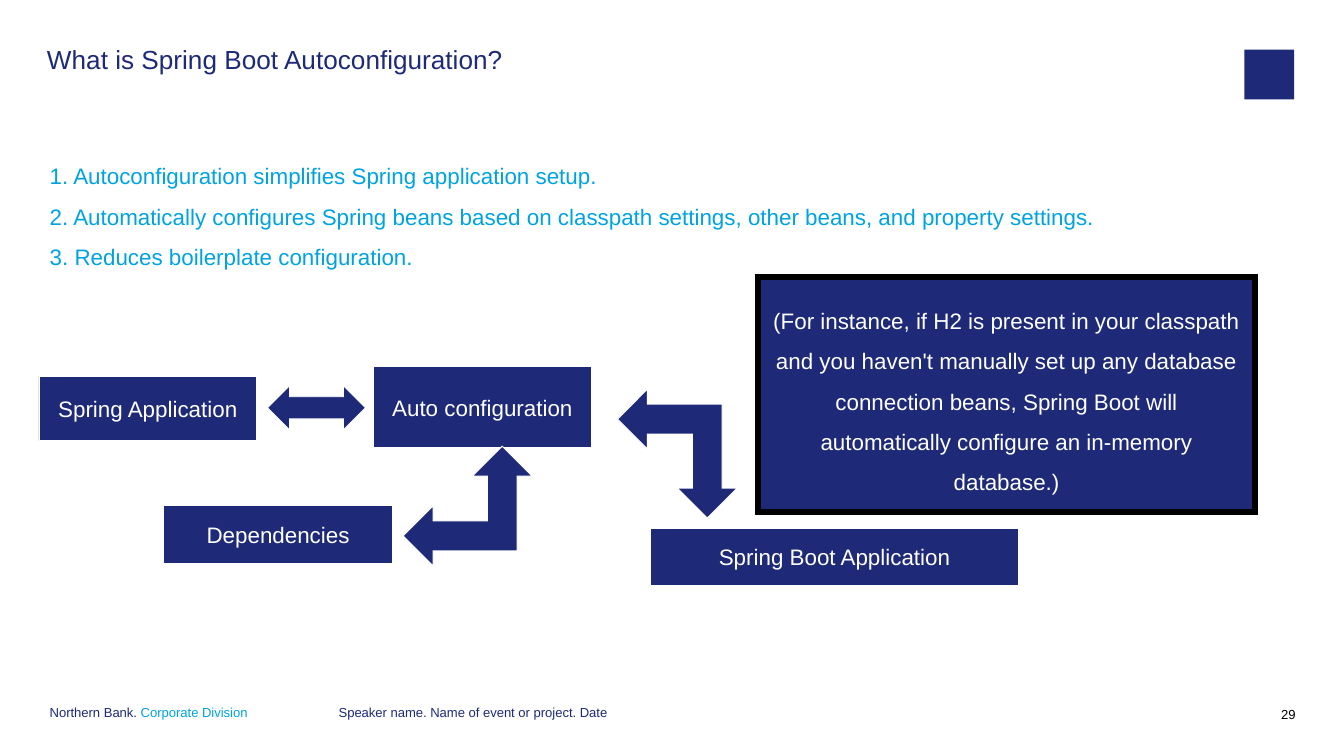
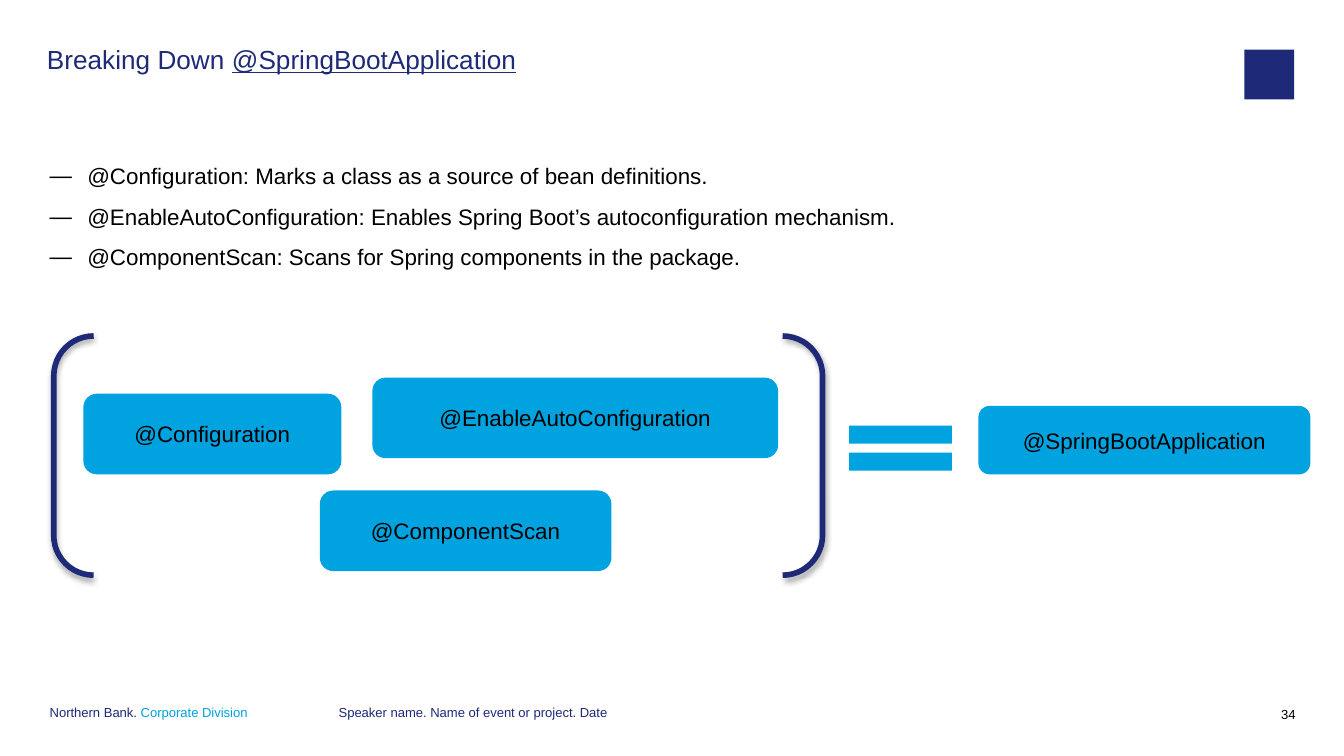
from dataclasses import dataclass

from lxml import etree
from pptx import Presentation
from pptx.dml.color import RGBColor
from pptx.enum import shapes, text
from pptx.oxml import ns
from pptx.util import Inches, Pt

SHAPE, ALIGN, ANCHOR = shapes.MSO_SHAPE, text.PP_ALIGN, text.MSO_ANCHOR


@dataclass(frozen=True)
class Theme:
    font: str = "Arial"
    navy: str = "1E2A78"
    cyan: str = "00A3E0"
    black: str = "000000"
    white: str = "FFFFFF"
    title: float = 14
    body: float = 12
    footer: float = 7
    thin: float = 0.5
    thick: float = 3


T = Theme()

# Shared content
DIVISION = [("Northern Bank. ", T.navy), ("Corporate Division", T.cyan)]
EVENT = "Speaker name. Name of event or project. Date"

# Slide 1: autoconfiguration
AUTO_TITLE = ["What is Spring Boot Autoconfiguration?"]
AUTO_POINTS = [
    "1. Autoconfiguration simplifies Spring application setup.",
    "2. Automatically configures Spring beans based on classpath settings, "
    "other beans, and property settings.",
    "3. Reduces boilerplate configuration.",
]
H2_EXAMPLE = (
    "(For instance, if H2 is present in your classpath and you haven't manually "
    "set up any database connection beans, Spring Boot will automatically "
    "configure an in-memory database.)"
)
FLOW_BOXES = [
    ("Dependencies", (1.22, 3.76, 1.7, 0.43)),
    ("Spring Application", (0.29, 2.8, 1.62, 0.48)),
    ("Auto configuration", (2.78, 2.73, 1.62, 0.6)),
    ("Spring Boot Application", (4.84, 3.93, 2.74, 0.43)),
]
FLOW_ARROWS = [
    (SHAPE.LEFT_UP_ARROW, (3, 3.32, 0.96, 0.89), 0),
    (SHAPE.LEFT_RIGHT_ARROW, (1.99, 2.87, 0.73, 0.33), 0),
    (SHAPE.LEFT_UP_ARROW, (4.56, 2.93, 0.96, 0.89), 270),
]

# Slide 2: the composed annotation
BREAKDOWN_TITLE = ["Breaking Down ", "@SpringBootApplication"]
BREAKDOWN_POINTS = [
    "@Configuration: Marks a class as a source of bean definitions.",
    "@EnableAutoConfiguration: Enables Spring Boot’s autoconfiguration mechanism.",
    "@ComponentScan: Scans for Spring components in the package.",
]
ANNOTATIONS = [
    ("@Configuration", (0.62, 2.93, 1.92, 0.6)),
    ("@EnableAutoConfiguration", (2.77, 2.81, 3.02, 0.6)),
    ("@ComponentScan", (2.38, 3.65, 2.17, 0.6)),
    ("@SpringBootApplication", (7.28, 3.02, 2.47, 0.51)),
]


def place(at):
    return [Inches(length) for length in at]


def style(run, size, color):
    run.font.name = T.font
    run.font.size = Pt(size)
    run.font.color.rgb = RGBColor.from_string(color)


def add_text(slide, at, paragraphs, size, spacing, align=ALIGN.LEFT):
    """Each paragraph is a list of (wording, colour) runs."""
    frame = slide.shapes.add_textbox(*place(at)).text_frame
    frame.word_wrap = True
    frame.margin_left = frame.margin_right = frame.margin_top = frame.margin_bottom = 0
    for i, runs in enumerate(paragraphs):
        paragraph = frame.add_paragraph() if i else frame.paragraphs[0]
        paragraph.alignment = align
        paragraph.line_spacing = spacing
        for wording, color in runs:
            run = paragraph.add_run()
            run.text = wording
            style(run, size, color)
    return frame


def add_part(slide, kind, at, fill=None, line=None, width=T.thin):
    part = slide.shapes.add_shape(kind, *place(at))
    part.shadow.inherit = False
    if fill:
        part.fill.solid()
        part.fill.fore_color.rgb = RGBColor.from_string(fill)
    else:
        part.fill.background()
    if line:
        part.line.color.rgb = RGBColor.from_string(line)
        part.line.width = Pt(width)
        outline = part._element.spPr.find(ns.qn("a:ln"))
        etree.SubElement(outline, ns.qn("a:miter"), lim="800000")
    else:
        part.line.fill.background()
    return part


def add_label(part, wording, color, spacing=1.0):
    frame = part.text_frame
    frame.text = wording
    frame.word_wrap = True
    frame.vertical_anchor = ANCHOR.MIDDLE
    frame.margin_left = frame.margin_right = Inches(0.11)
    frame.margin_top = frame.margin_bottom = Inches(0.06)
    paragraph = frame.paragraphs[0]
    paragraph.alignment = ALIGN.CENTER
    paragraph.line_spacing = spacing
    style(paragraph.runs[0], T.body, color)


def add_dash(paragraph, indent=0.28):
    props = paragraph._p.get_or_add_pPr()
    props.set("marL", str(Inches(indent)))
    props.set("indent", str(-Inches(indent)))
    etree.SubElement(props, ns.qn("a:buFont"), typeface=T.font)
    etree.SubElement(props, ns.qn("a:buChar"), char="—")


def add_soft_shadow(part):
    effects = part._element.spPr.find(ns.qn("a:effectLst"))
    shadow = etree.SubElement(effects, ns.qn("a:outerShdw"), blurRad=str(Pt(3.1)),
                              dist=str(Pt(1.8)), dir="5400000", rotWithShape="0")
    color = etree.SubElement(shadow, ns.qn("a:srgbClr"), val=T.black)
    etree.SubElement(color, ns.qn("a:alpha"), val="35000")


def add_base(deck, title, points, color, number, align=ALIGN.LEFT):
    """Add a slide with footer, emblem, title and points."""
    slide = deck.slides.add_slide(deck.slide_layouts[6])
    add_text(slide, (0.37, 5.25, 1.97, 0.26), [DIVISION], T.footer, Pt(8))
    add_part(slide, SHAPE.RECTANGLE, (9.26, 0.37, 0.37, 0.37), T.navy)
    add_text(slide, (9.26, 5.26, 0.38, 0.26), [[(number, T.black)]],
             T.footer, Pt(8), ALIGN.RIGHT)
    heading = add_text(slide, (0.35, 0.35, 8.54, 0.39),
                       [[(wording, T.navy) for wording in title]], T.title, 0.9)
    for annotation in heading.paragraphs[0].runs[1:]:
        annotation.font.underline = True
    add_text(slide, (2.52, 5.25, 4.9, 0.26), [[(EVENT, T.navy)]], T.footer, Pt(8))
    body = add_text(slide, (0.37, 1.11, 9.26, 3.96),
                    [[(point, color)] for point in points], T.body, 1.5, align)
    return slide, body


def build_autoconfiguration(deck):
    slide, _ = add_base(deck, AUTO_TITLE, AUTO_POINTS, T.cyan, "29")
    example = add_part(slide, SHAPE.RECTANGLE, (5.64, 2.06, 3.7, 1.75),
                       T.navy, T.black, T.thick)
    add_label(example, H2_EXAMPLE, T.white, 1.5)
    for wording, at in FLOW_BOXES:
        add_label(add_part(slide, SHAPE.RECTANGLE, at, T.navy, T.white), wording, T.white)
    for kind, at, turn in FLOW_ARROWS:
        add_part(slide, kind, at, T.navy, T.white).rotation = turn


def build_breakdown(deck):
    slide, body = add_base(deck, BREAKDOWN_TITLE, BREAKDOWN_POINTS, T.black, "34",
                           ALIGN.JUSTIFY)
    for paragraph in body.paragraphs:
        add_dash(paragraph)
    for wording, at in ANNOTATIONS:
        add_label(add_part(slide, SHAPE.ROUNDED_RECTANGLE, at, T.cyan), wording, T.black)
    brackets = add_part(slide, SHAPE.DOUBLE_BRACKET, (0.4, 2.5, 5.72, 1.78),
                        line=T.navy, width=T.thick)
    add_soft_shadow(brackets)
    add_part(slide, SHAPE.MATH_EQUAL, (6.18, 3.05, 1.04, 0.57), T.cyan)


def main():
    deck = Presentation()
    # Widescreen, 16:9
    deck.slide_width = Inches(10)
    deck.slide_height = deck.slide_width * 9 // 16
    build_autoconfiguration(deck)
    build_breakdown(deck)
    deck.save("out.pptx")


if __name__ == "__main__":
    main()
